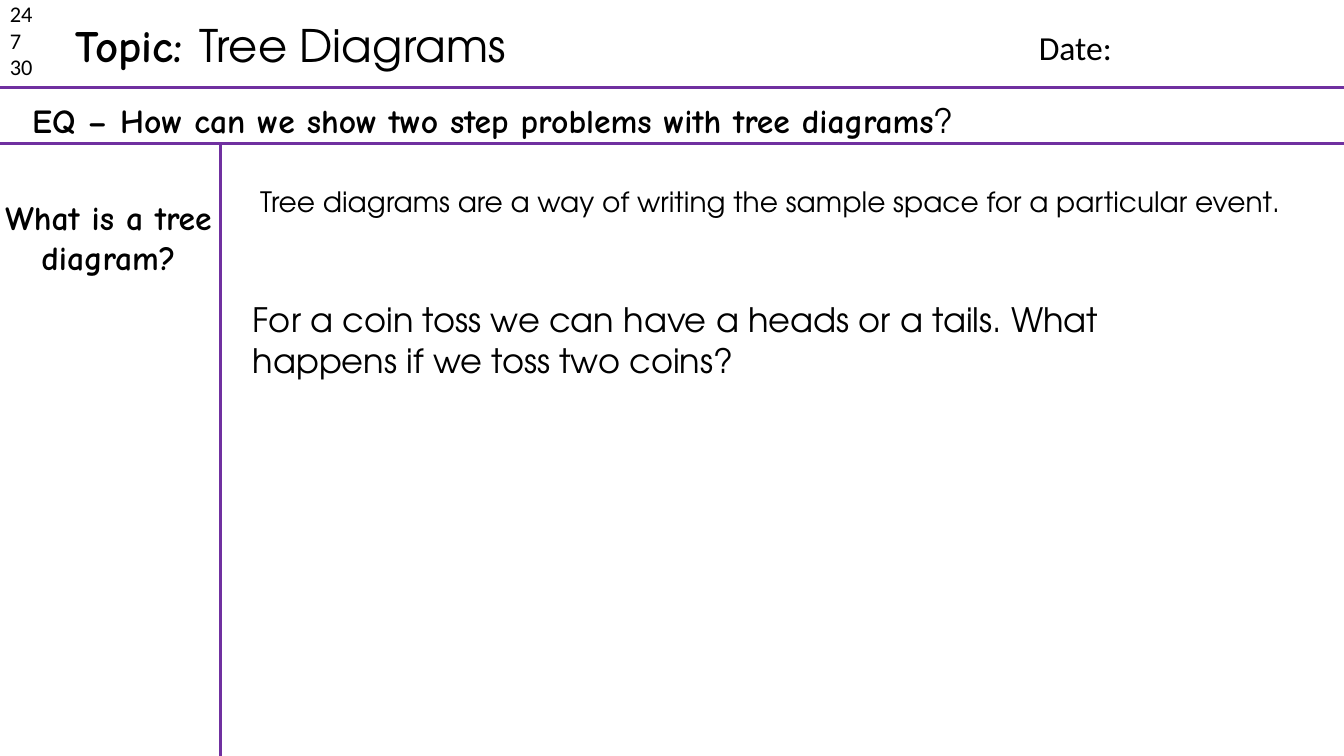
from lxml.etree import SubElement
from pptx import Presentation
from pptx.dml.color import RGBColor
from pptx.enum.shapes import MSO_CONNECTOR
from pptx.enum.text import MSO_ANCHOR, MSO_AUTO_SIZE, PP_ALIGN
from pptx.oxml.ns import qn
from pptx.util import Cm, Pt

PURPLE = RGBColor(0x70, 0x30, 0xA0)
BLACK = RGBColor(0, 0, 0)
PLAIN, HAND, ROUND = "Calibri", "Comic Neue", "TeX Gyre Adventor"
WIDTH, HEIGHT = 33.87, 19.05


def add_span(para, text, font=PLAIN, size=24, bold=False, color=BLACK):
    span = para.add_run()
    span.text = text
    span.font.name = font
    span.font.size = Pt(size)
    span.font.bold = bold
    span.font.color.rgb = color


class NotesPage:
    """Ruled note-taking page: holds the line style and the slide."""

    def __init__(self, deck, rule_color=PURPLE, rule_width=2.25):
        self.slide = deck.slides.add_slide(deck.slide_layouts[5])
        self.rule_color = rule_color
        self.rule_width = Pt(rule_width)

    def rule(self, x1, y1, x2, y2):
        line = self.slide.shapes.add_connector(
            MSO_CONNECTOR.STRAIGHT, Cm(x1), Cm(y1), Cm(x2), Cm(y2))
        line.line.color.rgb = self.rule_color
        line.line.width = self.rule_width
        SubElement(line._element.spPr, qn("a:effectLst"))

    def fill_box(self, box, place, paragraphs, align=PP_ALIGN.LEFT, wrap=True):
        """Each paragraph is a list of (text, format) pairs."""
        box.left, box.top, box.width, box.height = map(Cm, place)
        frame = box.text_frame
        frame.word_wrap = wrap
        frame.auto_size = MSO_AUTO_SIZE.SHAPE_TO_FIT_TEXT
        frame.vertical_anchor = MSO_ANCHOR.TOP
        for index, spans in enumerate(paragraphs):
            para = frame.add_paragraph() if index else frame.paragraphs[0]
            para.alignment = align
            for text, style in spans:
                add_span(para, text, **style)
        return frame

    def title(self, place, spans):
        self.fill_box(self.slide.shapes.title, place, [spans], wrap=False)

    def text(self, place, paragraphs, align=PP_ALIGN.LEFT, inset=None):
        box = self.slide.shapes.add_textbox(*map(Cm, place))
        frame = self.fill_box(box, place, paragraphs, align)
        if inset is not None:
            frame.margin_left = frame.margin_right = Cm(inset)
            frame.margin_top = frame.margin_bottom = Cm(inset)


def main():
    deck = Presentation()
    deck.slide_width, deck.slide_height = Cm(WIDTH), Cm(HEIGHT)
    page = NotesPage(deck)
    heading = dict(font=HAND, bold=True)

    # Rules between header, question and margin
    for y in (2.21, 3.61):
        page.rule(0, y, WIDTH, y)
    page.rule(5.56, 3.66, 5.56, HEIGHT)

    # Header
    page.title((1.65, 0.33, 11.4, 1.63),
               [("Topic: ", dict(heading, size=32)),
                ("Tree Diagrams", dict(font=ROUND, size=32))])
    page.text((0, -0.13, 1.6, 2.31),
              [[(number, dict(size=16))] for number in ("24", "7", "30")])
    page.text((25.93, 0.56, 5.99, 1.27), [[("Date:", {})]])

    # Essential question
    page.text((0.56, 2.39, 29.46, 1.27),
              [[("EQ – How can we show two step problems with tree diagrams",
                 heading), ("?", dict(font=ROUND))]])

    # Margin question and notes
    page.text((-0.3, 4.83, 6.07, 2.31),
              [[("What is a tree diagram?", heading)]], PP_ALIGN.CENTER)
    page.text((6.12, 4.65, 26.59, 1.63),
              [[("Tree diagrams are a way of writing the sample space for a "
                 "particular event.", dict(font=ROUND, size=20))]],
              PP_ALIGN.CENTER, inset=0)
    page.text((6.12, 7.42, 23.24, 2.31),
              [[("For a coin toss we can have a heads or a tails. What "
                 "happens if we toss two coins?", dict(font=ROUND))]])

    deck.save("out.pptx")


if __name__ == "__main__":
    main()
